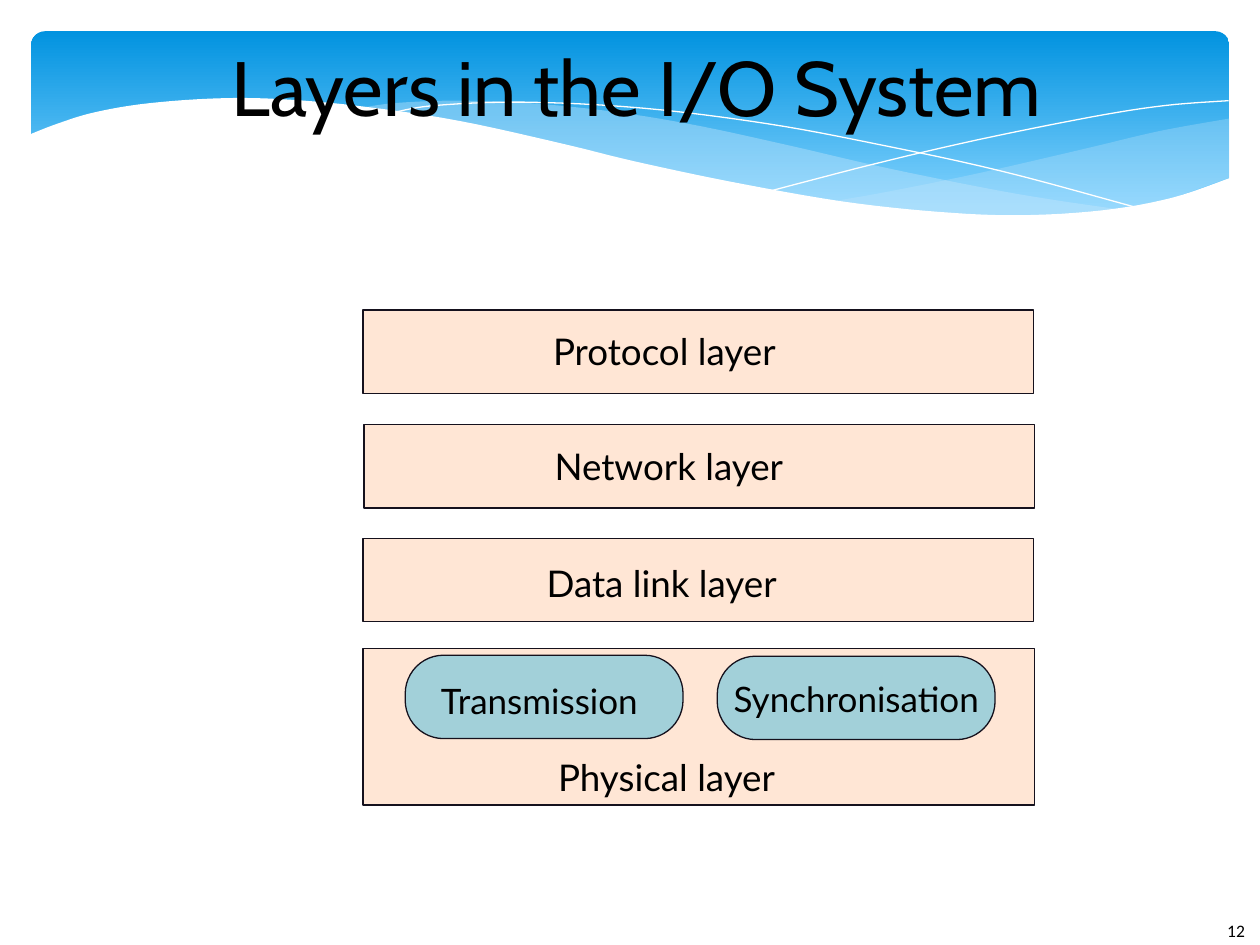
from lxml.etree import SubElement
from pptx import Presentation
from pptx.dml.color import RGBColor
from pptx.enum.shapes import MSO_SHAPE
from pptx.enum.text import MSO_ANCHOR, PP_ALIGN
from pptx.oxml.ns import qn
from pptx.util import Cm, Pt

BLACK = RGBColor(0x00, 0x00, 0x00)
WHITE = RGBColor(0xFF, 0xFF, 0xFF)
DEEP = RGBColor(0x02, 0x93, 0xE0)
SKY = RGBColor(0x83, 0xD3, 0xFE)
MIST = RGBColor(0xC6, 0xE7, 0xFC)
PEACH = RGBColor(0xFF, 0xE6, 0xD5)
TEAL = RGBColor(0xA2, 0xD0, 0xD9)
INK = RGBColor(0x15, 0x11, 0x1D)

# Content, lengths in cm: name, box (left, top, width, height), label (left, top, width)
LAYERS = [
    ("Physical layer", (7.32, 13.08, 13.54, 3.15), (11.25, 15.21, 5.13)),
    ("Data link layer", (7.32, 10.85, 13.52, 1.68), (11.02, 11.3, 5.26)),
    ("Network layer", (7.34, 8.56, 13.52, 1.68), (11.18, 8.94, 5.1)),
    ("Protocol layer", (7.32, 6.25, 13.52, 1.68), (11.15, 6.63, 5.1)),
]
PARTS = [
    ("Transmission", (8.17, 13.21, 5.6, 1.68), (8.89, 13.69, 4.22)),
    ("Synchronisation", (14.46, 13.23, 5.6, 1.68), (14.79, 13.66, 5.08)),
]

# Banner waves: each outline is a list of smooth arcs through knots in cm
RIGHT = [
    [(24.79, 2.39), (23.39, 2.64), (21.87, 3), (19.79, 3.48), (17.93, 3.86),
     (16.79, 4.06)],
    [(16.79, 4.06), (17.91, 4.19), (19.23, 4.32), (20.68, 4.37), (22.15, 4.29),
     (23.39, 4.06), (24.79, 3.58)],
]
LEFT = [
    [(22.68, 4.24), (20.5, 3.91), (17.93, 3.4), (15.98, 2.95), (14.1, 2.54),
     (12.42, 2.26), (10.67, 2.08), (9.17, 2.03), (7.95, 2.08), (7.26, 2.18)],
    [(7.26, 2.18), (8.69, 2.39), (10.26, 2.69), (11.4, 2.95), (13.46, 3.43),
     (15.27, 3.81), (16.89, 4.09), (18.34, 4.27), (19.94, 4.37), (21.29, 4.37),
     (22.68, 4.24)],
]
FALL = [[(7.85, 2.29), (8.74, 2.13), (10.57, 2.06), (12.95, 2.18),
         (15.44, 2.49), (17.65, 2.9), (20.19, 3.45), (23.04, 4.22)]]
RISE = [[(15.57, 3.84), (17.65, 3.3), (19.71, 2.82), (22, 2.36),
         (23.47, 2.13), (24.77, 2.03)]]
FRONT = [
    [(24.82, 3.58), (23.62, 3.99), (22.23, 4.24), (20.55, 4.34), (18.9, 4.27),
     (16.97, 4.06), (14.71, 3.66), (12.78, 3.25), (11.35, 2.9), (9.27, 2.44),
     (7.42, 2.16), (5.84, 2.01), (4.5, 1.98), (3.02, 2.08), (1.93, 2.26),
     (1.17, 2.49), (0.58, 2.72)],
    [(0.58, 5.69), (24.82, 5.69)],
]

deck = Presentation()
deck.slide_width, deck.slide_height = Cm(25.4), Cm(19.05)
slide = deck.slides.add_slide(deck.slide_layouts[6])
shapes = slide.shapes


def paint(shape, fill=None, line=None, alpha=None):
    shape.shadow.inherit = False
    if fill is None:
        shape.fill.background()
    else:
        shape.fill.solid()
        shape.fill.fore_color.rgb = fill
    if alpha:
        tint = shape.fill._xPr.find(qn("a:solidFill"))[0]
        SubElement(tint, qn("a:alpha")).set("val", str(alpha * 1000))
    if line is None:
        shape.line.fill.background()
    else:
        shape.line.color.rgb = line
        shape.line.width = Pt(0)


def smooth(knots, steps=6):
    """Points on a Catmull-Rom curve through the knots."""
    ends = [knots[0], *knots, knots[-1]]
    points = [knots[0]]
    for a, b, c, d in zip(ends, ends[1:], ends[2:], ends[3:]):
        for n in range(1, steps + 1):
            t = n / steps
            points.append(tuple(
                q + t * (r - p + t * (2 * p - 5 * q + 4 * r - s
                                      + t * (3 * q - p - 3 * r + s))) / 2
                for p, q, r, s in zip(a, b, c, d)))
    return points


def wave(arcs, close=True, **look):
    points = [(Cm(x), Cm(y)) for arc in arcs for x, y in smooth(arc)]
    pen = shapes.build_freeform(*points[0])
    pen.add_line_segments(points[1:], close=close)
    paint(pen.convert_to_shape(), **look)


def block(kind, box, **look):
    shape = shapes.add_shape(kind, *map(Cm, box))
    paint(shape, **look)
    return shape


def write(text, box, size, font="Lato", align=PP_ALIGN.LEFT,
          anchor=MSO_ANCHOR.TOP, wrap=False):
    frame = shapes.add_textbox(*map(Cm, box)).text_frame
    frame.word_wrap = wrap
    frame.vertical_anchor = anchor
    frame.margin_left = frame.margin_right = 0
    frame.margin_top = frame.margin_bottom = 0
    para = frame.paragraphs[0]
    para.text, para.alignment = text, align
    para.font.name, para.font.size = font, Pt(size)
    para.font.color.rgb = BLACK


# Banner
band = block(MSO_SHAPE.ROUNDED_RECTANGLE, (0.63, 0.63, 24.15, 3.96))
band.adjustments[0] = 0.07
band.fill.gradient()
band.fill.gradient_angle = 270
for stop, tone, place in zip(band.fill.gradient_stops, (DEEP, SKY), (0, 0.9)):
    stop.color.rgb, stop.position = tone, place
wave(RIGHT, fill=MIST, alpha=29)
wave(LEFT, fill=MIST, alpha=40)
wave(FALL, close=False, line=WHITE)
wave(RISE, close=False, line=WHITE)
wave(FRONT, fill=WHITE)

# Page number and title
write("12", (24.74, 18.54, 0.6, 0.5), 10, font="Calibri")
write("Layers in the I/O System", (2.54, 0.43, 20.6, 2.59), 44, font="Cabin",
      align=PP_ALIGN.CENTER, anchor=MSO_ANCHOR.MIDDLE, wrap=True)

# Layers, then the parts of the physical layer
for name, box, (x, y, w) in LAYERS:
    block(MSO_SHAPE.RECTANGLE, box, fill=PEACH, line=INK)
    write(name, (x, y, w, 1.02), 21)
for name, box, (x, y, w) in PARTS:
    pill = block(MSO_SHAPE.ROUNDED_RECTANGLE, box, fill=TEAL, line=INK)
    pill.adjustments[0] = 0.46
    write(name, (x, y, w, 0.86), 20)

deck.save("out.pptx")
